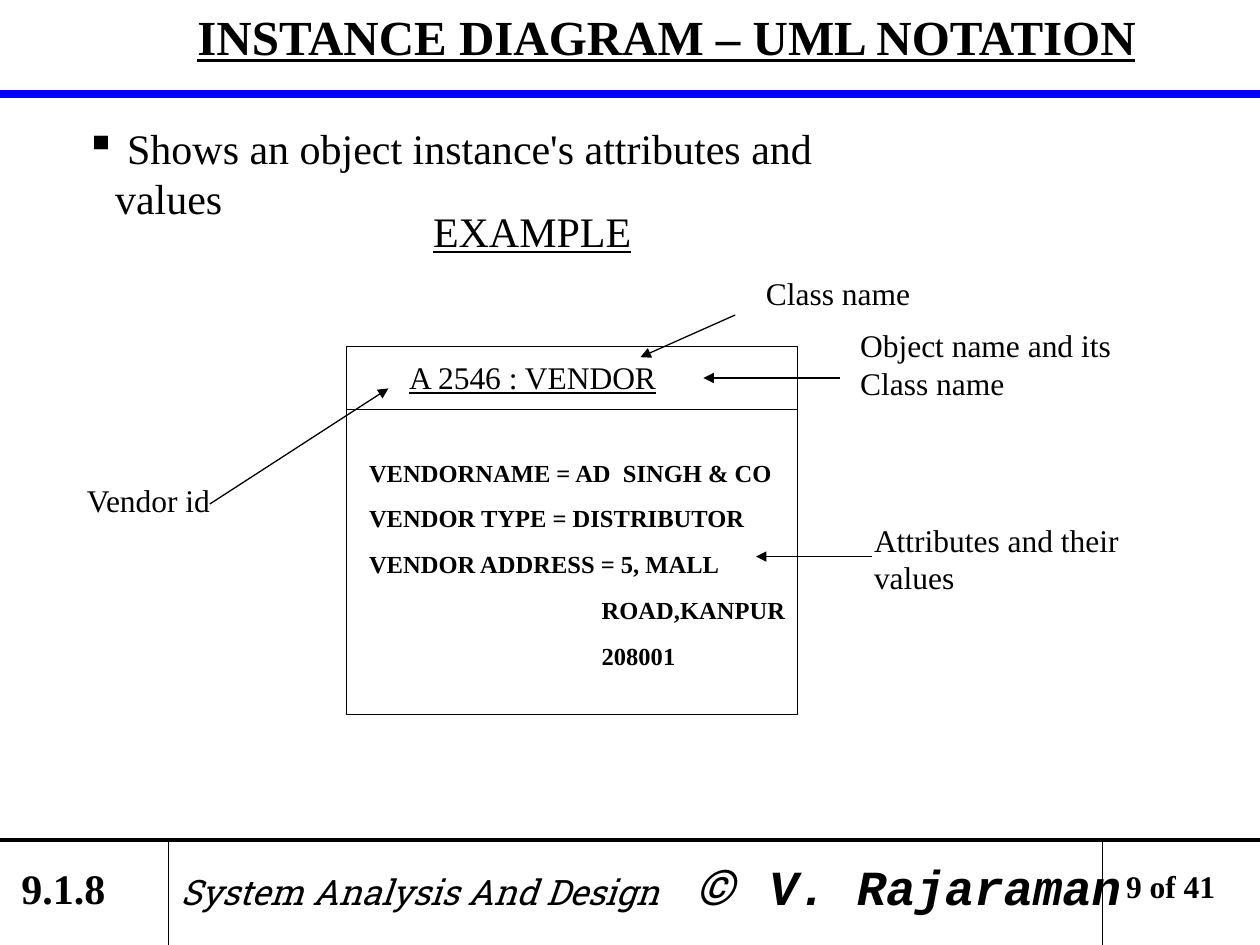
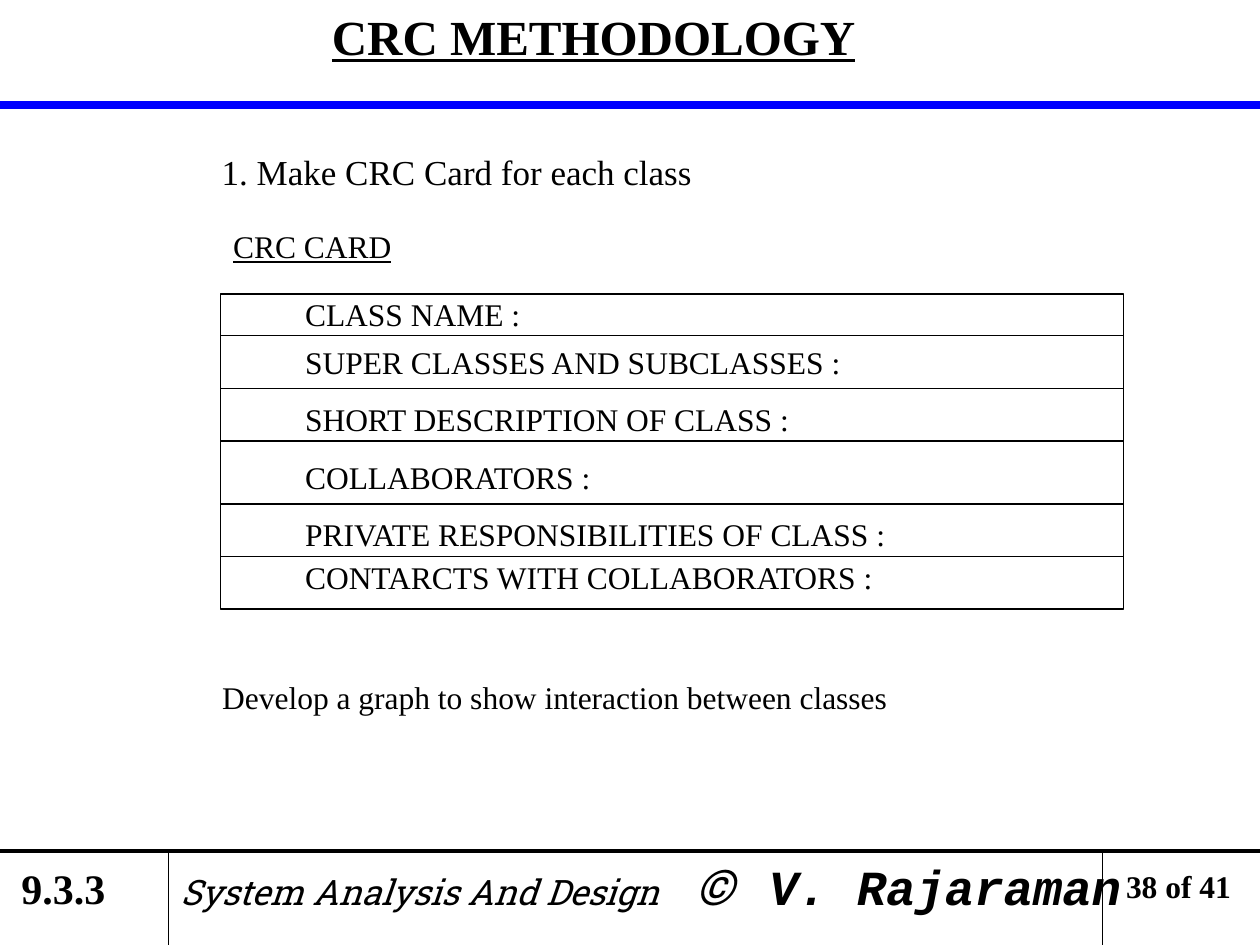
from lxml import etree
from pptx import Presentation
from pptx.dml.color import RGBColor
from pptx.enum.shapes import MSO_CONNECTOR, MSO_SHAPE
from pptx.enum.text import PP_ALIGN
from pptx.oxml.ns import qn
from pptx.util import Cm, Pt

STRAIGHT = MSO_CONNECTOR.STRAIGHT
RECTANGLE = MSO_SHAPE.RECTANGLE
LEFT, CENTER = PP_ALIGN.LEFT, PP_ALIGN.CENTER

COLORS = {"ink": "000000", "band": "0000FF"}
SERIF, SLAB, MONO = "Times New Roman", "Roboto Slab", "Courier New"

# All lengths are in centimetres.
WIDTH, HEIGHT = 25.4, 19.05
TITLE_WIDTH = 23.93
FOOTER_DIVIDERS = (3.39, 22.23)
FOOTER_TABS = (10.37, 11.86)
FOOTER_RUNS = [
    ("System Analysis And Design", SLAB, 20, False),
    ("\t©", SLAB, 28, False),
    ("\tV. Rajaraman", MONO, 28, True),
]

INSTANCE_FRAME = {
    "title": "INSTANCE DIAGRAM – UML NOTATION", "title_left": 1.47,
    "band": 1.9, "footer": 16.93, "section": "9.1.8", "page": "9 of 41",
}
INSTANCE_POINT = " Shows an object instance's attributes and values"
INSTANCE_CARD = (6.98, 6.98, 9.1, 7.42)
INSTANCE_HEADER_BOTTOM = 8.25
INSTANCE_ATTRIBUTES = [  # text, indent
    ("VENDORNAME = AD  SINGH & CO", 0),
    ("VENDOR TYPE = DISTRIBUTOR", 0),
    ("VENDOR ADDRESS = 5, MALL", 0),
    ("ROAD,KANPUR", 4.69),
    ("208001", 4.69),
]
INSTANCE_CALLOUTS = [  # text, left, top, width, arrow start, arrow end
    ("Class name", 15.19, 5.4, 3.6, (14.82, 6.35), (12.91, 7.2)),
    ("Object name and its\nClass name", 17.09, 6.45, 5.8, (16.93, 7.62), (14.18, 7.62)),
    ("Attributes and their\nvalues", 17.37, 10.37, 5.8, (17.57, 11.22), (15.24, 11.22)),
    ("Vendor id", 1.5, 9.57, 3.3, (4.23, 10.16), (7.83, 7.83)),
]

CRC_FRAME = {
    "title": "CRC METHODOLOGY", "title_left": 0,
    "band": 2.11, "footer": 17.15, "section": "9.3.3", "page": "38 of 41",
}
CRC_CARD = (4.45, 5.93, 18.2, 6.35)
CRC_LABEL_LEFT = 5.9
CRC_ROWS = [  # label, label top, row bottom
    ("CLASS NAME :", 5.83, 6.77),
    ("SUPER CLASSES AND SUBCLASSES :", 6.79, 7.83),
    ("SHORT DESCRIPTION OF CLASS :", 7.94, 8.89),
    ("COLLABORATORS :", 9.1, 10.16),
    ("PRIVATE RESPONSIBILITIES OF CLASS :", 10.25, 11.22),
    ("CONTARCTS WITH COLLABORATORS :", 11.13, None),
]


def style_font(font, size, name=SERIF, bold=False, italic=False, underline=False):
    font.name, font.size = name, Pt(size)
    font.bold, font.italic, font.underline = bold, italic, underline
    font.color.rgb = RGBColor.from_string(COLORS["ink"])


def add_text(slide, text, left, top, width, size=18, height=1.02, align=LEFT, **style):
    box = slide.shapes.add_textbox(Cm(left), Cm(top), Cm(width), Cm(height))
    text_frame = box.text_frame
    text_frame.word_wrap = True
    text_frame.text = text
    for paragraph in text_frame.paragraphs:
        paragraph.alignment = align
        for run in paragraph.runs:
            style_font(run.font, size, **style)
    return text_frame


def add_line(slide, start, end, width=0.75, color="ink", arrow=False):
    points = [Cm(value) for value in (*start, *end)]
    connector = slide.shapes.add_connector(STRAIGHT, *points)
    connector.line.width = Pt(width)
    connector.line.color.rgb = RGBColor.from_string(COLORS[color])
    if arrow:
        line = connector.line._get_or_add_ln()
        etree.SubElement(line, qn("a:tailEnd"), type="triangle")
    etree.SubElement(connector._element.spPr, qn("a:effectLst"))


def add_card(slide, bounds, divider_tops):
    """Draw an unfilled rectangle with full-width dividers."""
    left, _, width, _ = bounds
    card = slide.shapes.add_shape(RECTANGLE, *[Cm(value) for value in bounds])
    card.shadow.inherit = False
    card.fill.background()
    card.line.width = Pt(0.75)
    card.line.color.rgb = RGBColor.from_string(COLORS["ink"])
    for top in divider_tops:
        add_line(slide, (left, top), (left + width, top))


def add_credit(slide):
    text_frame = add_text(slide, "", FOOTER_DIVIDERS[0], 17.15, 19.47, height=1.45)
    text_frame.margin_right = 0
    paragraph = text_frame.paragraphs[0]
    tabs = etree.SubElement(paragraph._p.get_or_add_pPr(), qn("a:tabLst"))
    for position in FOOTER_TABS:
        etree.SubElement(tabs, qn("a:tab"), pos=str(Cm(position)), algn="l")
    for text, name, size, bold in FOOTER_RUNS:
        run = paragraph.add_run()
        run.text = text
        style_font(run.font, size, name, bold, italic=True)


def add_framed_slide(presentation, frame):
    """Add a blank slide with the title, the band and the footer."""
    slide = presentation.slides.add_slide(presentation.slide_layouts[6])
    add_text(slide, frame["title"], frame["title_left"], 0, TITLE_WIDTH, 28,
             height=1.45, align=CENTER, bold=True, underline=True)
    add_line(slide, (0, frame["band"]), (WIDTH, frame["band"]), 4.5, "band")
    add_line(slide, (0, frame["footer"]), (WIDTH, frame["footer"]), 2.25)
    for left in FOOTER_DIVIDERS:
        add_line(slide, (left, frame["footer"]), (left, HEIGHT))
    add_credit(slide)
    add_text(slide, frame["section"], 0.18, 17.27, 2.6, 24, bold=True)
    add_text(slide, frame["page"], 22.45, 17.35, 2.9, bold=True)
    return slide


def add_bullet(paragraph, character, indent):
    properties = paragraph._p.get_or_add_pPr()
    properties.set("marL", str(Cm(indent)))
    properties.set("indent", str(-Cm(indent)))
    etree.SubElement(properties, qn("a:buChar"), char=character)


def build_instance_slide(presentation):
    slide = add_framed_slide(presentation, INSTANCE_FRAME)
    point = add_text(slide, INSTANCE_POINT, 1.47, 2.34, 17.2, 24, height=2.2)
    add_bullet(point.paragraphs[0], "▪", 0.6)
    add_text(slide, "EXAMPLE", 8.48, 4.02, 4.8, 24, underline=True)
    add_card(slide, INSTANCE_CARD, [INSTANCE_HEADER_BOTTOM])
    add_text(slide, "A 2546 : VENDOR", 8, 7.09, 5.8, underline=True)

    lines = "\n".join(text for text, _ in INSTANCE_ATTRIBUTES)
    attributes = add_text(slide, lines, 7.19, 9.1, 12.7, 14, height=4.47, bold=True)
    for index, (_, indent) in enumerate(INSTANCE_ATTRIBUTES):
        paragraph = attributes.paragraphs[index]
        paragraph._p.get_or_add_pPr().set("marL", str(Cm(indent)))
        if index:
            paragraph.space_before = Pt(9.4)

    for text, left, top, width, start, end in INSTANCE_CALLOUTS:
        add_text(slide, text, left, top, width)
        add_line(slide, start, end, arrow=True)


def build_crc_slide(presentation):
    slide = add_framed_slide(presentation, CRC_FRAME)
    add_text(slide, "1. Make CRC Card for each class", 4.22, 2.9, 10.5, 20)
    add_text(slide, "CRC CARD", 4.45, 4.45, 4, underline=True)
    add_card(slide, CRC_CARD, [bottom for _, _, bottom in CRC_ROWS if bottom])
    for label, top, _ in CRC_ROWS:
        add_text(slide, label, CRC_LABEL_LEFT, top, 13)
    add_text(slide, "Develop a graph to show interaction between classes", 4.23, 13.55, 14.5)


def main():
    presentation = Presentation()
    presentation.slide_width, presentation.slide_height = Cm(WIDTH), Cm(HEIGHT)
    build_instance_slide(presentation)
    build_crc_slide(presentation)
    presentation.save("out.pptx")


if __name__ == "__main__":
    main()
